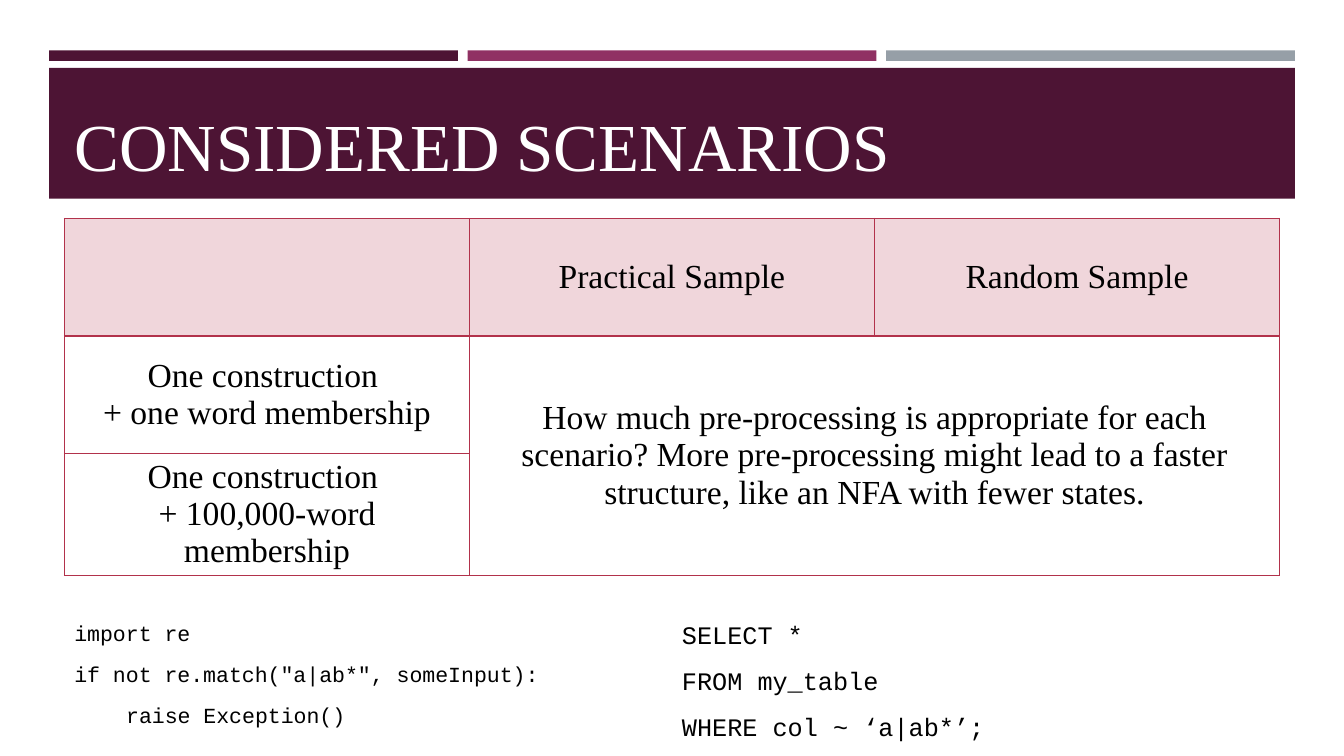
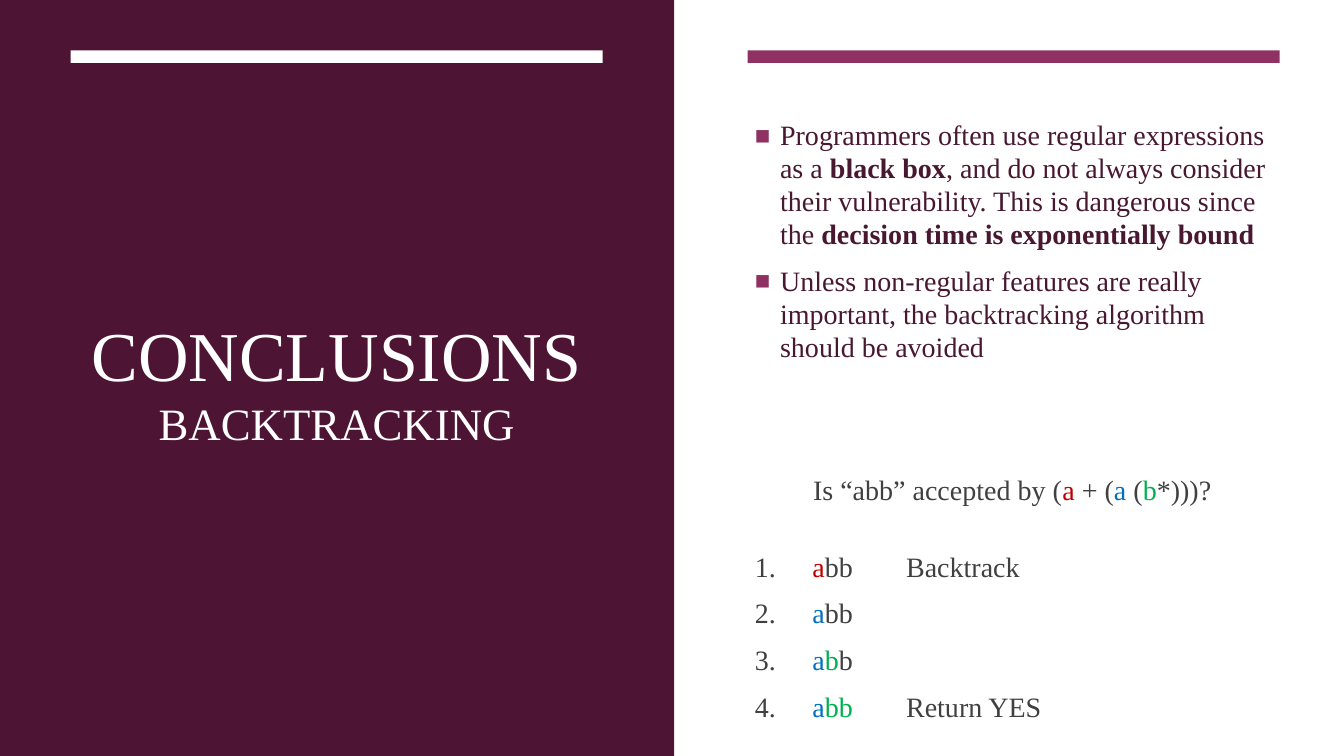
from lxml import etree
from pptx import Presentation
from pptx.dml.color import RGBColor
from pptx.enum import shapes, text
from pptx.oxml import ns
from pptx.util import Pt

SERIF, MONO = "Times New Roman", "Courier New"
PLUM, BERRY, STEEL = "4D1434", "903163", "969FA7"
WHITE, BLACK, GREY, WINE = "FFFFFF", "000000", "404040", "481831"
RED, BLUE, GREEN = "C00000", "0070C0", "00B050"
EDGE, PINK = "B2324B", "F0D6DB"
LEFT, MID = text.PP_ALIGN.LEFT, text.PP_ALIGN.CENTER


def paint(target, color):
    if hasattr(target, "solid"):
        target.solid()
        target = target.fore_color
    target.rgb = RGBColor.from_string(color)


def node(parent, tag, **attrs):
    return etree.SubElement(parent, ns.qn("a:" + tag), attrs)


class Deck:
    def __init__(self):
        self.prs = Presentation()
        self.prs.slide_width, self.prs.slide_height = Pt(960), Pt(540)
        self.slide = None

    def start(self, layout):
        self.slide = self.prs.slides.add_slide(self.prs.slide_layouts[layout])

    def place(self, shape, area):
        shape.left, shape.top, shape.width, shape.height = map(Pt, area)

    def box(self, area, color):
        rect = self.slide.shapes.add_shape(shapes.MSO_SHAPE.RECTANGLE, *map(Pt, area))
        rect.shadow.inherit = False
        paint(rect.fill, color)
        rect.line.fill.background()

    def frame(self, shape, anchor):
        frame = shape.text_frame
        frame.word_wrap = True
        frame.auto_size = text.MSO_AUTO_SIZE.NONE
        frame.vertical_anchor = anchor
        return frame

    def run(self, para, words, size, color, face=SERIF, bold=False):
        run = para.add_run()
        run.text = words
        run.font.size, run.font.name, run.font.bold = Pt(size), face, bold
        paint(run.font.color, color)

    def para(self, frame, before=0, after=0, line=1, align=LEFT):
        para = frame.paragraphs[0]
        if para.runs:
            para = frame.add_paragraph()
        para.space_before, para.space_after = Pt(before), Pt(after)
        para.line_spacing, para.alignment = line, align
        return para

    def indent(self, para, left, first=0):
        props = para._p.get_or_add_pPr()
        props.set("marL", str(Pt(left)))
        props.set("indent", str(Pt(first)))
        return props

    def title(self, area, lines, align, anchor):
        shape = self.slide.shapes.title
        self.place(shape, area)
        shape.element.getparent().append(shape.element)
        para = self.para(self.frame(shape, anchor), align=align)
        for words, size in lines:
            if para.runs:
                para.add_line_break()
            self.run(para, words, size, WHITE)

    def body(self, area):
        shape = self.slide.placeholders[1]
        self.place(shape, area)
        return self.frame(shape, text.MSO_ANCHOR.TOP)

    def point(self, frame, parts, before):
        para = self.para(frame, before, 6, 0.98)
        props = self.indent(para, 18, -18)
        node(node(props, "buClr"), "srgbClr", val=BERRY)
        node(props, "buSzPct", val="92000")
        node(props, "buFont", typeface="Arial")
        node(props, "buChar", char="■")
        for words, bold in parts:
            self.run(para, words, 20, WINE, bold=bold)

    def ask(self, frame, parts):
        para = self.para(frame, 73, 0, 0.98, MID)
        node(self.indent(para, 0), "buNone")
        for words, color in parts:
            self.run(para, words, 20, color)

    def step(self, frame, parts, before):
        para = self.para(frame, before, 0, 0.98)
        props = self.indent(para, 36, -36)
        node(props, "buFont", typeface="+mj-lt")
        node(props, "buAutoNum", type="arabicPeriod")
        for words, color in [(" ", GREY)] + parts:
            self.run(para, words, 20, color)

    def code(self, area, size, lines):
        shape = self.slide.shapes.add_textbox(*map(Pt, area))
        frame = self.frame(shape, text.MSO_ANCHOR.TOP)
        for row, (words, inset) in enumerate(lines):
            para = self.para(frame, 11 if row else 0)
            self.indent(para, inset)
            self.run(para, words, size, BLACK, MONO)

    def cell(self, cell, lines, color):
        paint(cell.fill, color)
        cell.vertical_anchor = text.MSO_ANCHOR.MIDDLE
        for words in lines:
            self.run(self.para(cell.text_frame, align=MID), words, 24, BLACK)
        props = cell._tc.get_or_add_tcPr()
        for spot, side in enumerate(("lnL", "lnR", "lnT", "lnB")):
            line = node(props, side, w=str(Pt(1)))
            node(node(line, "solidFill"), "srgbClr", val=EDGE)
            props.insert(spot, line)

    def table(self, area, rows, span):
        count = len(rows), len(rows[0])
        table = self.slide.shapes.add_table(*count, *map(Pt, area)).table
        table.first_row = table.horz_banding = False
        for r, row in enumerate(rows):
            for c, lines in enumerate(row):
                self.cell(table.cell(r, c), lines, WHITE if r else PINK)
        first, last = span
        table.cell(*first).merge(table.cell(*last))

    def save(self):
        self.prs.save("out.pptx")


def cases(deck):
    deck.start(5)
    for spot, color in enumerate((PLUM, BERRY, STEEL)):
        deck.box((35 + 299 * spot, 36, 292, 7.5), color)
    deck.box((35, 48.5, 890, 93.5), PLUM)
    deck.title((46, 55.5, 868, 80), [("CONSIDERED SCENARIOS", 48)],
               LEFT, text.MSO_ANCHOR.BOTTOM)
    note = ("How much pre-processing is appropriate for each scenario? "
            "More pre-processing might lead to a faster structure, "
            "like an NFA with fewer states.")
    deck.table((46, 156, 868, 252), [
        [[], ["Practical Sample"], ["Random Sample"]],
        [["One construction ", "+ one word membership"], [note], []],
        [["One construction ", "+ 100,000-word membership"], [], []],
    ], ((1, 1), (2, 2)))
    deck.code((46, 439, 434, 90), 15.4, [
        ("import re", 0),
        ('if not re.match("a|ab*", someInput):', 0),
        ("raise Exception()", 37),
    ])
    deck.code((480, 439, 434, 90), 18, [
        ("SELECT *", 0),
        ("FROM my_table", 0),
        ("WHERE col ~ ‘a|ab*’;", 0),
    ])


def close(deck):
    deck.start(1)
    deck.box((0, 0, 481.5, 540), PLUM)
    for left, color in ((50.5, WHITE), (534, BERRY)):
        deck.box((left, 36, 380, 9), color)
    deck.title((50.5, 81.5, 380, 380), [("CONCLUSIONS", 50), ("BACKTRACKING", 32)],
               MID, text.MSO_ANCHOR.MIDDLE)
    body = deck.body((532, 81.5, 382, 441))
    deck.point(body, [
        ("Programmers often use regular expressions as a ", False),
        ("black box", True),
        (", and do not always consider their vulnerability. "
         "This is dangerous since the ", False),
        ("decision time is exponentially bound", True),
    ], 0)
    deck.point(body, [
        ("Unless non-regular features are really important, "
         "the backtracking algorithm should be avoided", False),
    ], 4)
    deck.ask(body, [
        ("Is “abb” accepted by (", GREY), ("a", RED), (" + (", GREY),
        ("a", BLUE), (" (", GREY), ("b", GREEN), ("*)))?", GREY),
    ])
    steps = [
        [("a", RED), ("bb\t\tBacktrack", GREY)],
        [("a", BLUE), ("bb", GREY)],
        [("a", BLUE), ("b", GREEN), ("b", GREY)],
        [("a", BLUE), ("bb\t\t", GREEN), ("Return YES", GREY)],
    ]
    for row, parts in enumerate(steps):
        deck.step(body, parts, 10 if row else 31)


def main():
    deck = Deck()
    cases(deck)
    close(deck)
    deck.save()


if __name__ == "__main__":
    main()
